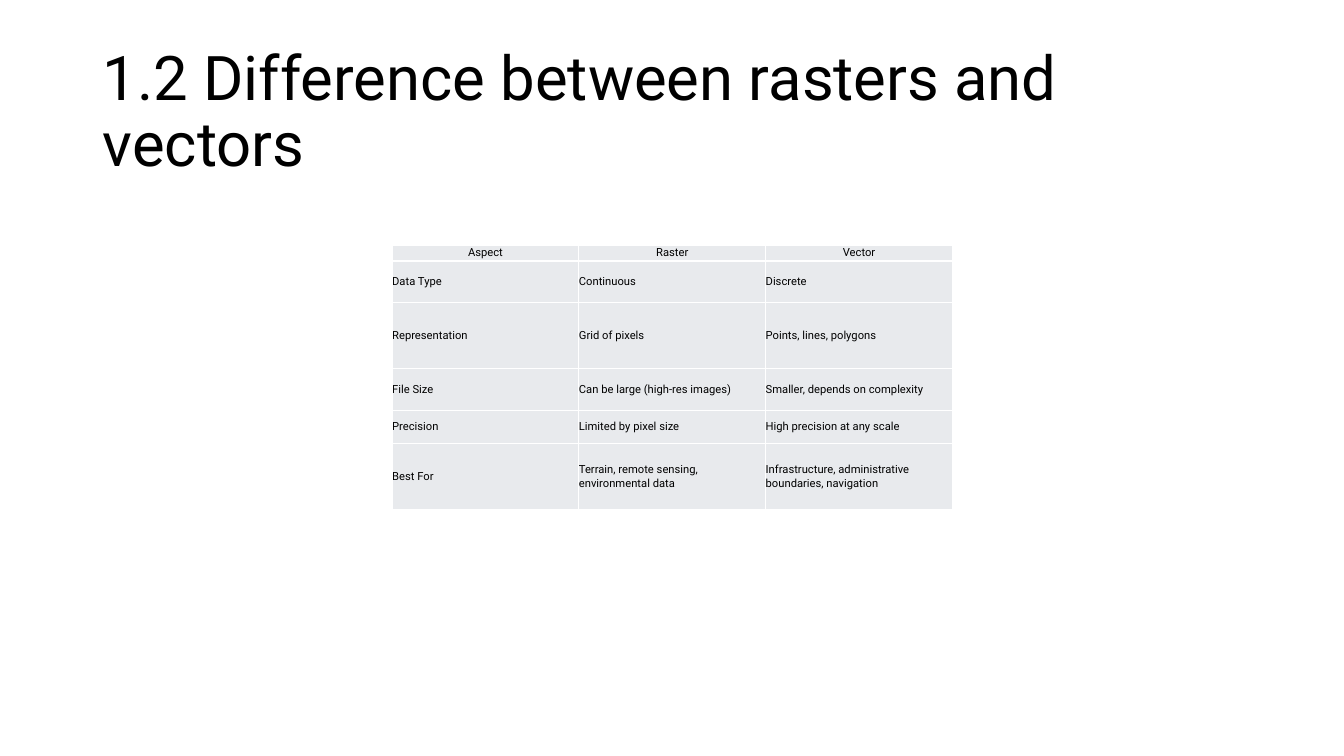
"""Build a slide with a title and a table comparing rasters and vectors."""
from lxml.etree import SubElement
from pptx import Presentation
from pptx.dml.color import RGBColor
from pptx.enum.text import MSO_ANCHOR as Anchor, MSO_AUTO_SIZE as AutoSize, PP_ALIGN as Align
from pptx.oxml.ns import qn
from pptx.util import Inches, Pt

TITLE = "1.2 Difference between rasters and vectors"
ROWS = [
    ("Aspect", "Raster", "Vector"),
    ("Data Type", "Continuous", "Discrete"),
    ("Representation", "Grid of pixels", "Points, lines, polygons"),
    ("File Size", "Can be large (high-res images)", "Smaller, depends on complexity"),
    ("Precision", "Limited by pixel size", "High precision at any scale"),
    ("Best For", "Terrain, remote sensing, environmental data",
     "Infrastructure, administrative boundaries, navigation"),
]
ROW_HEIGHTS = [0.16, 0.41, 0.66, 0.41, 0.33, 0.66]
COL_WIDTH = 1.853
SLIDE_SIZE = (13.333, 7.5)
TITLE_BOX = {"left": 0.92, "top": 0.4, "width": 11.5, "height": 1.45}
TABLE_POS = (3.89, 2.43)
TITLE_FONT = {"name": "Roboto", "size": Pt(44)}
CELL_FONT = {"name": "Roboto", "size": Pt(8)}
CELL_FORMAT = {"vertical_anchor": Anchor.MIDDLE, "margin_left": 0, "margin_right": 0,
               "margin_top": 0, "margin_bottom": 0}
BLACK, WHITE, GREY = "000000", "FFFFFF", "E8EAED"


def rgb(value):
    """Turn a hex string into a colour."""
    return RGBColor.from_string(value)


def set_all(obj, values):
    """Set each attribute of an object from a dict."""
    for name, value in values.items():
        setattr(obj, name, value)


def write(p, text, font, align):
    """Put formatted text in a paragraph."""
    p.alignment = align
    r = p.add_run()
    r.text = text
    set_all(r.font, font)
    r.font.color.rgb = rgb(BLACK)


def add_borders(cell, color, width):
    """Draw the four borders of a cell."""
    props = cell._tc.get_or_add_tcPr()
    for side in ("a:lnL", "a:lnR", "a:lnT", "a:lnB"):
        line = SubElement(props, qn(side), w=str(width))
        SubElement(SubElement(line, qn("a:solidFill")), qn("a:srgbClr"), val=color)


def add_title(s):
    """Place and fill the title placeholder."""
    sp = s.shapes.title
    set_all(sp, {name: Inches(v) for name, v in TITLE_BOX.items()})
    tf = sp.text_frame
    set_all(tf, {"word_wrap": True, "auto_size": AutoSize.NONE,
                 "vertical_anchor": Anchor.MIDDLE})
    p = tf.paragraphs[0]
    p.line_spacing = 0.9
    write(p, TITLE, TITLE_FONT, Align.LEFT)


def add_comparison(s):
    """Add the comparison table."""
    cols = len(ROWS[0])
    size = (COL_WIDTH * cols, sum(ROW_HEIGHTS))
    table = s.shapes.add_table(len(ROWS), cols, *map(Inches, TABLE_POS + size)).table
    set_all(table, {"first_row": False, "horz_banding": False})
    for col in table.columns:
        col.width = Inches(COL_WIDTH)
    for i, (row, height) in enumerate(zip(ROWS, ROW_HEIGHTS)):
        table.rows[i].height = Inches(height)
        for j, text in enumerate(row):
            cell = table.cell(i, j)
            set_all(cell, CELL_FORMAT)
            add_borders(cell, WHITE, Pt(1))
            cell.fill.solid()
            cell.fill.fore_color.rgb = rgb(GREY)
            write(cell.text_frame.paragraphs[0], text, CELL_FONT,
                  Align.LEFT if i else Align.CENTER)


def main():
    """Build and save the presentation."""
    prs = Presentation()
    prs.slide_width, prs.slide_height = map(Inches, SLIDE_SIZE)
    s = prs.slides.add_slide(prs.slide_layouts[5])
    s.background.fill.solid()
    s.background.fill.fore_color.rgb = rgb(WHITE)
    add_title(s)
    add_comparison(s)
    prs.save("out.pptx")


if __name__ == "__main__":
    main()
